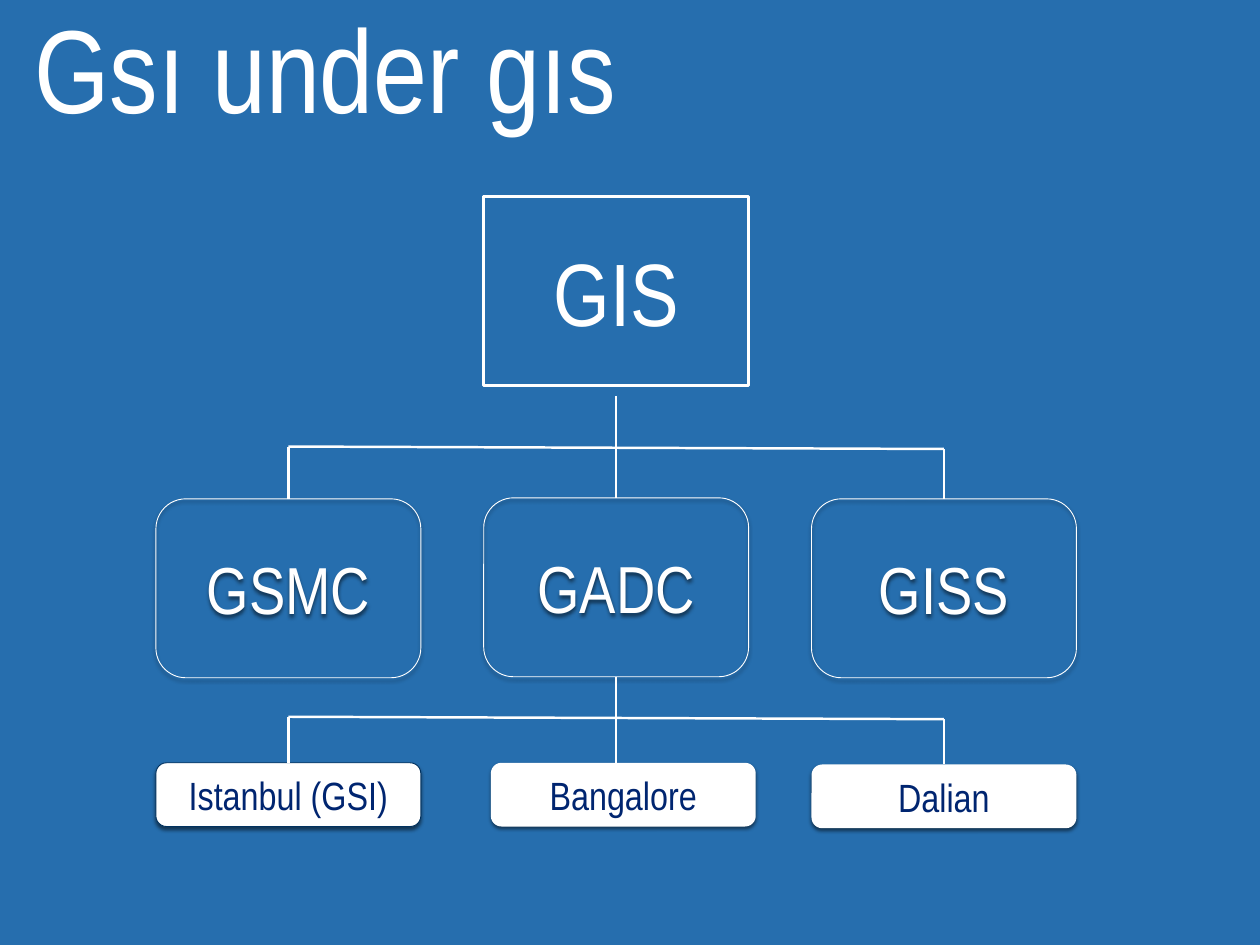
from lxml import etree
from pptx import Presentation
from pptx.dml.color import RGBColor
from pptx.enum.shapes import MSO_CONNECTOR, MSO_SHAPE
from pptx.enum.text import MSO_ANCHOR, MSO_AUTO_SIZE, PP_ALIGN
from pptx.oxml import parse_xml
from pptx.oxml.ns import nsdecls, qn
from pptx.util import Pt

STRAIGHT = MSO_CONNECTOR.STRAIGHT
RECTANGLE = MSO_SHAPE.RECTANGLE
ROUNDED = MSO_SHAPE.ROUNDED_RECTANGLE
MIDDLE = MSO_ANCHOR.MIDDLE
NO_AUTOFIT = MSO_AUTO_SIZE.NONE
CENTER = PP_ALIGN.CENTER
LEFT = PP_ALIGN.LEFT

FONT = "Arial Narrow"
WHITE = "FFFFFF"
NAVY = "002570"
BLUE = "266EAE"
DARK_BLUE = "013260"
TOP, BOTTOM = 0, 2
BOX_WIDTH = 215.3
COLUMN_PITCH = 266.4


def color(hex_string):
    return RGBColor.from_string(hex_string)


def write(frame, wording, size, ink, align, side_inset, end_inset):
    frame.text = wording
    frame.word_wrap = True
    frame.auto_size = NO_AUTOFIT
    frame.vertical_anchor = MIDDLE
    frame.margin_left = frame.margin_right = Pt(side_inset)
    frame.margin_top = frame.margin_bottom = Pt(end_inset)
    paragraph = frame.paragraphs[0]
    paragraph.alignment = align
    font = paragraph.runs[0].font
    font.name, font.size, font.bold = FONT, Pt(size), False
    font.color.rgb = color(ink)


def add_soft_shadow(unit):
    effects = unit._element.spPr.find(qn("a:effectLst"))
    effects.append(parse_xml(
        f'<a:outerShdw {nsdecls("a")} blurRad="{Pt(3)}" dist="{Pt(2)}" '
        'dir="5400000" rotWithShape="0"><a:srgbClr val="000000">'
        '<a:alpha val="50000"/></a:srgbClr></a:outerShdw>'))


def add_unit(slide, box, wording, size, ink, preset=ROUNDED, fill=None,
             outline=None, weight=0.75, shadowed=True):
    unit = slide.shapes.add_shape(preset, *map(Pt, box))
    if fill:
        unit.fill.solid()
        unit.fill.fore_color.rgb = color(fill)
    else:
        unit.fill.background()
    if outline:
        unit.line.color.rgb = color(outline)
        unit.line.width = Pt(weight)
    else:
        unit.line.fill.background()
    unit.shadow.inherit = False
    if shadowed:
        add_soft_shadow(unit)
    write(unit.text_frame, wording, size, ink, CENTER, 4.3, 4.3)
    return unit


def add_branch(slide, start, end, parent=None, child=None):
    branch = slide.shapes.add_connector(STRAIGHT, *map(Pt, start + end))
    branch.line.color.rgb = color(WHITE)
    branch.line.width = Pt(2)
    etree.SubElement(branch._element.spPr, qn("a:effectLst"))
    if parent:
        branch.begin_connect(parent, BOTTOM)
    if child:
        branch.end_connect(child, TOP)


def add_heading(slide, box, wording):
    heading = slide.shapes.title
    heading.left, heading.top, heading.width, heading.height = map(Pt, box)
    write(heading.text_frame, wording, 96, WHITE, LEFT, 8, 3.6)


def add_tier(slide, box, offices, size, ink, fill=None):
    left, top, width, height = box
    return [
        add_unit(slide, (left + column * COLUMN_PITCH + shift_x, top + shift_y,
                         width, height), wording, size, ink,
                 fill=fill, outline=outline)
        for column, (wording, outline, shift_x, shift_y) in enumerate(offices)]


def add_branches(slide, box, stem_top, tier, parent=None, stem_child=None):
    left, top, width, height = box
    right, center = left + width, left + width / 2
    bottom = top + height
    add_branch(slide, (center, stem_top), (center, bottom), parent, stem_child)
    add_branch(slide, (right, top + 2), (left, top))
    add_branch(slide, (left, top), (left, bottom), child=tier[0])
    add_branch(slide, (right, top + 2), (right, bottom), child=tier[-1])


def add_organization(slide, box):
    left, top, width, _ = box
    add_unit(slide, (left + COLUMN_PITCH, top, BOX_WIDTH, 153.4), "GIS", 72,
             WHITE, RECTANGLE, outline=WHITE, weight=2, shadowed=False)
    divisions = add_tier(
        slide, (left, top + 245.6, BOX_WIDTH, 145.4),
        [("GSMC", WHITE, 0, 0), ("GADC", WHITE, 0, -0.8),
         ("GISS", WHITE, 0, 0)], 54, WHITE)
    sites = add_tier(
        slide, (left, top + 460.1, BOX_WIDTH, 51.8),
        [("Istanbul (GSI)", DARK_BLUE, 0, 0), ("Bangalore", None, 5.8, 0),
         ("Dalian", None, 0, 1.4)], 32, NAVY, WHITE)
    rail_left, rail_width = left + BOX_WIDTH / 2, width - BOX_WIDTH
    add_branches(slide, (rail_left, top + 203.1, rail_width, 41.7),
                 top + 162, divisions, stem_child=divisions[1])
    add_branches(slide, (rail_left, top + 422.7, rail_width, 37.4),
                 top + 390.2, sites, parent=divisions[1])


def main():
    presentation = Presentation()
    presentation.slide_width, presentation.slide_height = Pt(1024), Pt(768)
    slide = presentation.slides.add_slide(presentation.slide_layouts[5])
    slide.background.fill.solid()
    slide.background.fill.fore_color.rgb = color(BLUE)
    add_heading(slide, (20, 13, 984, 82), "Gsı under gıs")
    add_organization(slide, (126.7, 159.8, 748.1, 511.9))
    presentation.save("out.pptx")


if __name__ == "__main__":
    main()
